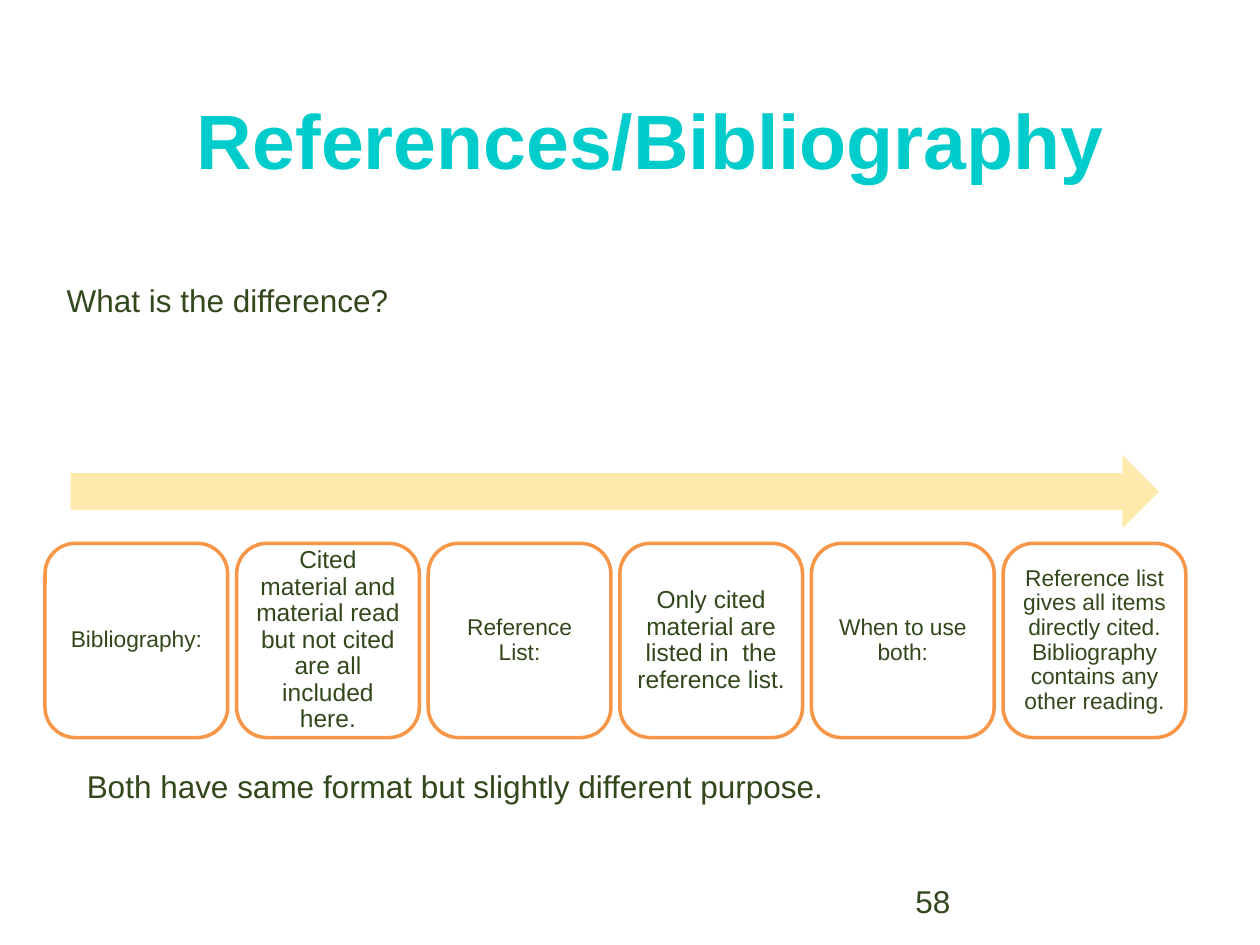
from dataclasses import dataclass

from lxml import etree
from pptx import Presentation
from pptx.dml.color import RGBColor
from pptx.enum.shapes import MSO_SHAPE
from pptx.enum.text import MSO_ANCHOR, MSO_AUTO_SIZE, PP_ALIGN
from pptx.oxml.ns import qn
from pptx.util import Pt

ARROW, ROUND = MSO_SHAPE.RIGHT_ARROW, MSO_SHAPE.ROUNDED_RECTANGLE
LEFT, CENTER = PP_ALIGN.LEFT, PP_ALIGN.CENTER
TOP, MIDDLE = MSO_ANCHOR.TOP, MSO_ANCHOR.MIDDLE
NO_FIT = MSO_AUTO_SIZE.NONE


@dataclass(frozen=True)
class Theme:
    font: str = "Arial"
    ink: str = "33471C"
    title: str = "00CCCC"
    paper: str = "FFFFFF"
    edge: str = "F79646"
    arrow: str = "FFC000"
    alpha: int = 32
    head: int = 44
    body: int = 18
    large: int = 14
    small: int = 13


def write(frame, text, *, font, size, color, bold=False, align=LEFT,
          anchor=TOP, space=1.0, inset=None):
    frame.word_wrap = True
    frame.auto_size = NO_FIT
    frame.vertical_anchor = anchor
    if inset is not None:
        frame.margin_left = frame.margin_right = Pt(inset)
        frame.margin_top = frame.margin_bottom = Pt(inset)
    para = frame.paragraphs[0]
    para.alignment = align
    para.line_spacing = space
    run = para.add_run()
    run.text = text
    run.font.name = font
    run.font.size = Pt(size)
    run.font.bold = bold
    run.font.color.rgb = RGBColor.from_string(color)


class Deck:
    """Draws styled elements on the current slide, with lengths in points."""

    def __init__(self, theme, slide):
        self.theme = theme
        self.slide = slide

    def title(self, text, x, y, w, h):
        box = self.slide.shapes.title
        box.left, box.top, box.width, box.height = map(Pt, (x, y, w, h))
        write(box.text_frame, text, font=self.theme.font, size=self.theme.head,
              color=self.theme.title, bold=True, align=CENTER, anchor=MIDDLE)

    def shape(self, kind, x, y, w, h, fill):
        item = self.slide.shapes.add_shape(kind, *map(Pt, (x, y, w, h)))
        item.shadow.inherit = False
        item.fill.solid()
        item.fill.fore_color.rgb = RGBColor.from_string(fill)
        return item

    def arrow(self, x, y, w, h):
        item = self.shape(ARROW, x, y, w, h, self.theme.arrow)
        item.line.fill.background()
        color = item._element.spPr.find(qn("a:solidFill"))[0]
        alpha = etree.SubElement(color, qn("a:alpha"))
        alpha.set("val", str(self.theme.alpha * 1000))

    def card(self, text, size, x, y, w, h):
        item = self.shape(ROUND, x, y, w, h, self.theme.paper)
        item.line.color.rgb = RGBColor.from_string(self.theme.edge)
        item.line.width = Pt(2)
        write(item.text_frame, text, font=self.theme.font, size=size,
              color=self.theme.ink, align=CENTER, anchor=MIDDLE, space=0.9,
              inset=0.3 * size)

    def label(self, text, x, y, w, h=29):
        box = self.slide.shapes.add_textbox(*map(Pt, (x, y, w, h)))
        write(box.text_frame, text, font=self.theme.font,
              size=self.theme.body, color=self.theme.ink)


def main():
    theme = Theme()
    show = Presentation()
    show.slide_width, show.slide_height = Pt(720), Pt(540)
    deck = Deck(theme, show.slides.add_slide(show.slide_layouts[5]))

    deck.title("References/Bibliography", 48, 34, 648, 90)
    deck.arrow(40.3, 260, 622, 41.8)

    cards = [
        ("Bibliography:", theme.small),
        ("Cited material and material read but not cited are all included here.",
         theme.large),
        ("Reference List:", theme.small),
        ("Only cited material are listed in  the reference list.", theme.large),
        ("When to use both:", theme.small),
        ("Reference list gives all items directly cited. "
         "Bibliography contains any other reading.", theme.small),
    ]
    left, step = 25.7, 109.5
    for i, (text, size) in enumerate(cards):
        deck.card(text, size, left + i * step, 310.5, 104.4, 111)

    deck.label("What is the difference?", 31, 157, 538.5)
    deck.label("Both have same format but slightly different purpose.",
               42.5, 434.5, 538.5)
    deck.label("58", 516, 500.5, 168)
    show.save("out.pptx")


if __name__ == "__main__":
    main()
